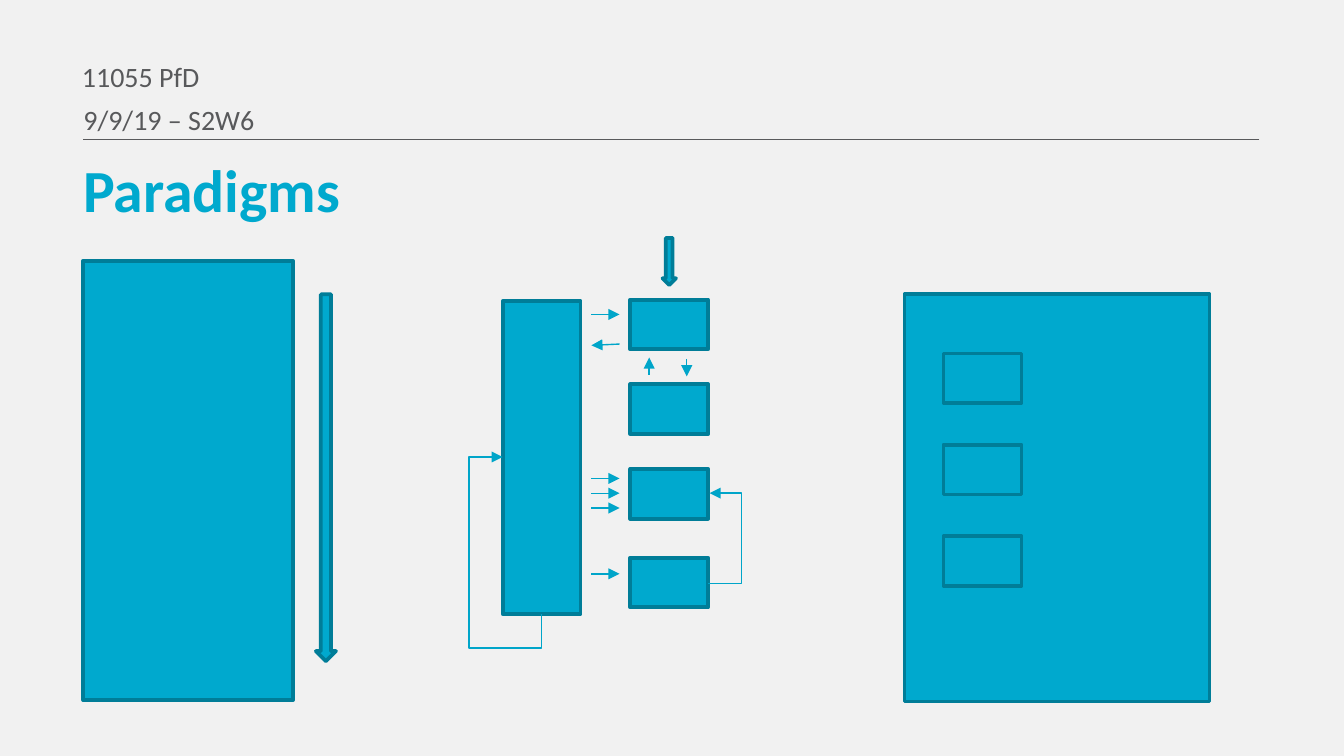
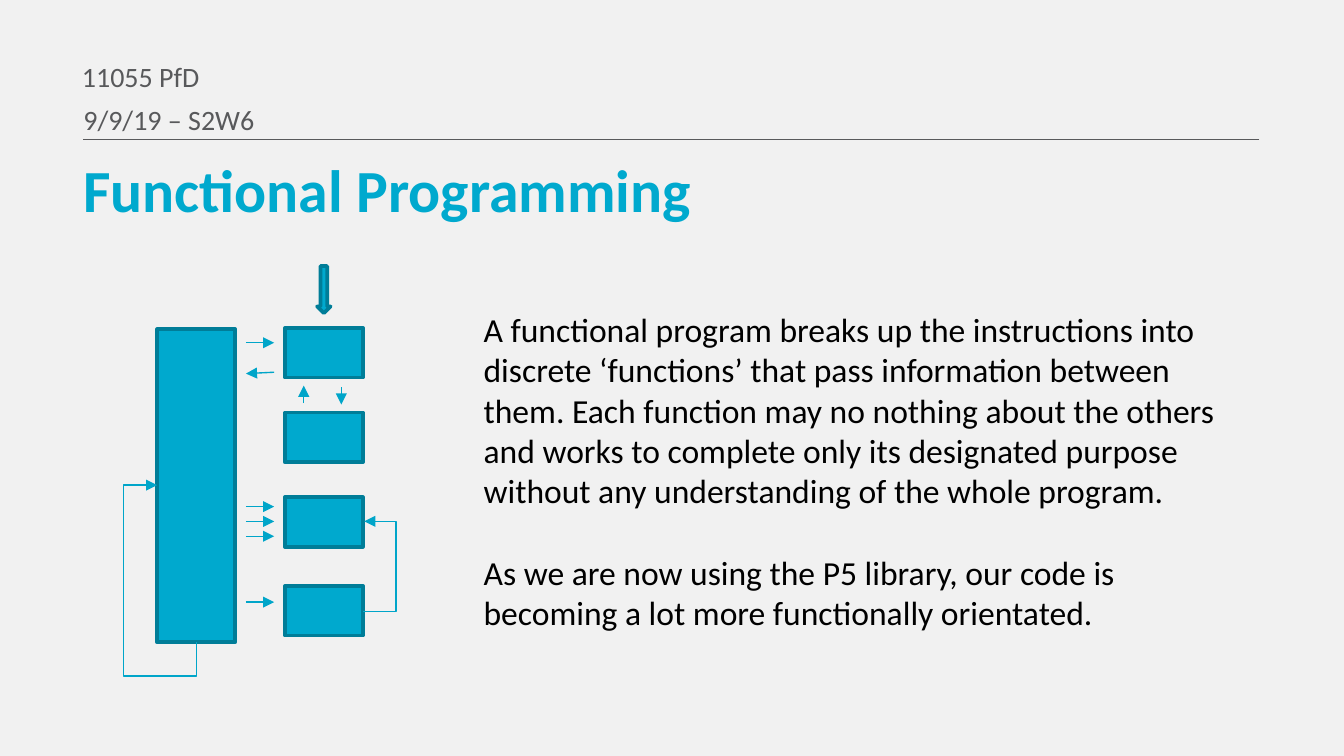
import pptx
import pptx.dml.color
import pptx.enum.shapes
import pptx.enum.text
import pptx.oxml.ns
import pptx.util
from lxml import etree

Inches = pptx.util.Inches
Pt = pptx.util.Pt
RGBColor = pptx.dml.color.RGBColor
Shape = pptx.enum.shapes.MSO_SHAPE
Connector = pptx.enum.shapes.MSO_CONNECTOR
qn = pptx.oxml.ns.qn

PAGE_WIDTH = Inches(10)
PAGE_HEIGHT = PAGE_WIDTH * 9 // 16

PAPER = RGBColor(0xF1, 0xF1, 0xF1)
GREY = RGBColor(0x58, 0x59, 0x5B)
CYAN = RGBColor(0x00, 0xA9, 0xCE)
DEEP_CYAN = RGBColor(0x00, 0x7D, 0x98)
ARROW_CYAN = RGBColor(0x00, 0xA5, 0xC9)
BLACK = RGBColor(0, 0, 0)

HEADER_FONT = {"name": "Calibri", "size": Pt(15), "bold": False}
TITLE_FONT = {"name": "Calibri", "size": Pt(32), "bold": True}
BODY_FONT = {"name": "Calibri", "size": Pt(18), "bold": False}
HEADER_PARA = {"space_before": Pt(3)}
TITLE_PARA = {"space_before": Pt(6.4), "line_spacing": 0.7,
              "alignment": pptx.enum.text.PP_ALIGN.LEFT}
TOP_FRAME = {"word_wrap": True,
             "auto_size": pptx.enum.text.MSO_AUTO_SIZE.NONE,
             "vertical_anchor": pptx.enum.text.MSO_ANCHOR.TOP}

CELL = (0.58, 0.37)


def apply(target, values):
    for name, value in values.items():
        setattr(target, name, value)


def place(shape, left, top, width, height):
    apply(shape, {"left": Inches(left), "top": Inches(top),
                  "width": Inches(width), "height": Inches(height)})


def write(para, text, font, color, layout):
    span = para.add_run()
    span.text = text
    apply(span.font, font)
    span.font.color.rgb = color
    apply(para, layout)


def fill_placeholder(holder, box, text, font, color, layout):
    place(holder, *box)
    apply(holder.text_frame, TOP_FRAME)
    para = holder.text_frame.paragraphs[0]
    write(para, text, font, color, layout)
    props = para._p.get_or_add_pPr()
    props.set("marL", "0")
    props.set("indent", "0")
    etree.SubElement(props, qn("a:buNone"))


def add_block(group, kind, left, top, width, height):
    block = group.shapes.add_shape(kind, Inches(left), Inches(top),
                                   Inches(width), Inches(height))
    block.shadow.inherit = False
    block.fill.solid()
    block.fill.fore_color.rgb = CYAN
    block.line.color.rgb = DEEP_CYAN
    block.line.width = Pt(2)
    return block


def add_line(parent, start, end, color, kind=Connector.STRAIGHT, arrow=True):
    line = parent.shapes.add_connector(
        kind, *(Inches(value) for value in (*start, *end)))
    line.line.color.rgb = color
    line.line.width = Pt(0.75)
    if arrow:
        head = etree.SubElement(line.line._get_or_add_ln(), qn("a:tailEnd"))
        head.set("type", "triangle")
    etree.SubElement(line._element.spPr, qn("a:effectLst"))
    return line


def set_bends(line, preset, *bends):
    """Choose the elbow preset and set each bend as a share of the extent."""
    geometry = line._element.spPr.find(qn("a:prstGeom"))
    geometry.set("prst", preset)
    guides = geometry.find(qn("a:avLst"))
    if guides is None:
        guides = etree.SubElement(geometry, qn("a:avLst"))
    for number, bend in enumerate(bends, 1):
        guide = etree.SubElement(guides, qn("a:gd"))
        guide.set("name", f"adj{number}")
        guide.set("fmla", f"val {round(bend * 100000)}")


def add_page(deck, title):
    """Course header, rule and title shared by every page."""
    page = deck.slides.add_slide(deck.slide_layouts[3])
    add_line(page, (9.37, 1.04), (0.62, 1.04), GREY, arrow=False)
    course, date = list(page.placeholders)[1:3]
    fill_placeholder(course, (0.51, 0.39, 6.98, 0.25), "11055 PfD",
                     HEADER_FONT, GREY, HEADER_PARA)
    fill_placeholder(date, (0.52, 0.71, 6.97, 0.23), "9/9/19 – S2W6",
                     HEADER_FONT, GREY, HEADER_PARA)
    fill_placeholder(page.shapes.title, (0.52, 1.23, 8.86, 0.42), title,
                     TITLE_FONT, CYAN, TITLE_PARA)
    return page


def draw_procedural(page, left, top):
    """One block of instructions, run from top to bottom."""
    group = page.shapes.add_group_shape()
    add_block(group, Shape.RECTANGLE, left, top, 1.56, 3.27)
    add_block(group, Shape.DOWN_ARROW, left + 1.73, top + 0.25, 0.15, 2.73)


def draw_functional(page, left, top):
    """A main block that exchanges information with four functions."""
    group = page.shapes.add_group_shape()
    add_block(group, Shape.RECTANGLE, left + 0.25, top + 0.47, 0.58, 2.33)
    for offset in (0.46, 1.09, 1.72, 2.38):
        add_block(group, Shape.RECTANGLE, left + 1.2, top + offset, *CELL)

    # Calls, replies and exchanges between functions
    calls = [((0.91, y), (1.12, y)) for y in (0.57, 1.79, 1.9, 2.01, 2.5)]
    replies = [((1.12, 0.79), (0.91, 0.8))]
    exchanges = [((1.62, 0.9), (1.62, 1.03)), ((1.34, 1.02), (1.34, 0.89))]
    for (x1, y1), (x2, y2) in calls + replies + exchanges:
        add_line(group, (left + x1, top + y1), (left + x2, top + y2),
                 ARROW_CYAN)

    # Last function feeds the third, a quarter inch out to the right
    reach, step = 0.25, 0.01
    feed = add_line(group, (left + 1.78, top + 2.57),
                    (left + 1.78 + step, top + 1.9),
                    ARROW_CYAN, Connector.ELBOW)
    set_bends(feed, "bentConnector3", reach / step)

    # Main block loops from its bottom round to its left side
    rise, run = 1.17, 0.29
    middle_x, middle_y = left + 0.25 + run / 2, top + 2.8 - rise / 2
    loop = add_line(group, (middle_x - rise / 2, middle_y - run / 2),
                    (middle_x + rise / 2, middle_y + run / 2),
                    ARROW_CYAN, Connector.ELBOW)
    frame = loop._element.spPr.find(qn("a:xfrm"))
    frame.set("rot", str(90 * 60000))
    frame.set("flipH", "1")
    set_bends(loop, "bentConnector4", -reach / rise, 1 + reach / run)

    # Entry arrow
    add_block(group, Shape.DOWN_ARROW, left + 1.44, top, 0.1, 0.35)


def draw_objects(page, left, top):
    """A program that holds three objects."""
    group = page.shapes.add_group_shape()
    add_block(group, Shape.RECTANGLE, left, top, 2.27, 3.03)
    for row in range(3):
        add_block(group, Shape.RECTANGLE, left + 0.29,
                  top + 0.44 + 0.68 * row, *CELL)


def add_explanation(page, box, texts):
    note = page.shapes.add_textbox(*(Inches(value) for value in box))
    frame = note.text_frame
    apply(frame, {"word_wrap": True,
                  "auto_size": pptx.enum.text.MSO_AUTO_SIZE.SHAPE_TO_FIT_TEXT})
    for number, text in enumerate(texts):
        para = frame.add_paragraph() if number else frame.paragraphs[0]
        gap = Pt(22) if number else Pt(0)
        write(para, text, BODY_FONT, BLACK, {"space_before": gap})


def build_paradigms(deck):
    page = add_page(deck, "Paradigms")
    draw_procedural(page, 0.62, 1.94)
    draw_functional(page, 3.49, 1.77)
    draw_objects(page, 6.73, 2.19)


def build_functional(deck):
    page = add_page(deck, "Functional Programming")
    add_explanation(page, (3.5, 2.25, 5.72, 2.52), (
        "A functional program breaks up the instructions into discrete "
        "‘functions’ that pass information between them. Each function may "
        "no nothing about the others and works to complete only its "
        "designated purpose without any understanding of the whole program.",
        "As we are now using the P5 library, our code is becoming a lot more "
        "functionally orientated."))
    draw_functional(page, 0.92, 1.98)


def main():
    deck = pptx.Presentation()
    deck.slide_width, deck.slide_height = PAGE_WIDTH, PAGE_HEIGHT
    backdrop = deck.slide_master.background.fill
    backdrop.solid()
    backdrop.fore_color.rgb = PAPER
    build_paradigms(deck)
    build_functional(deck)
    deck.save("out.pptx")


if __name__ == "__main__":
    main()
